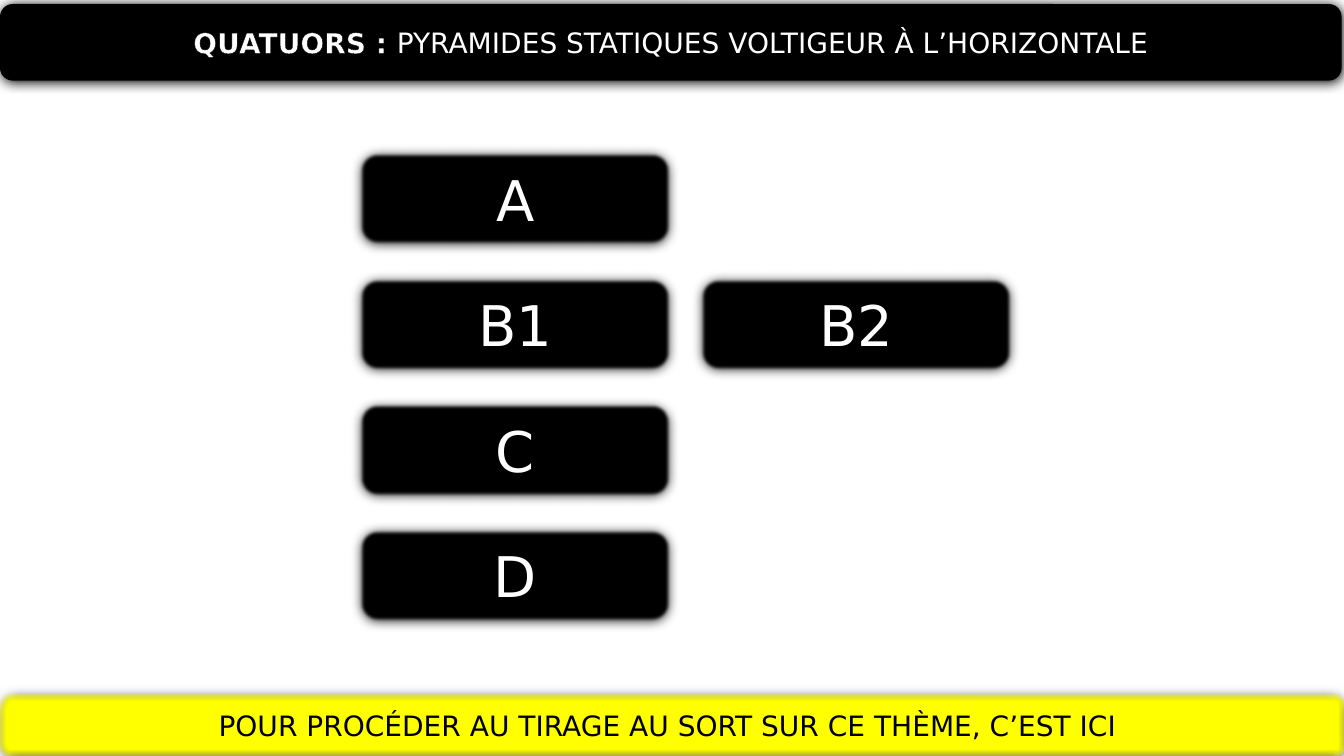
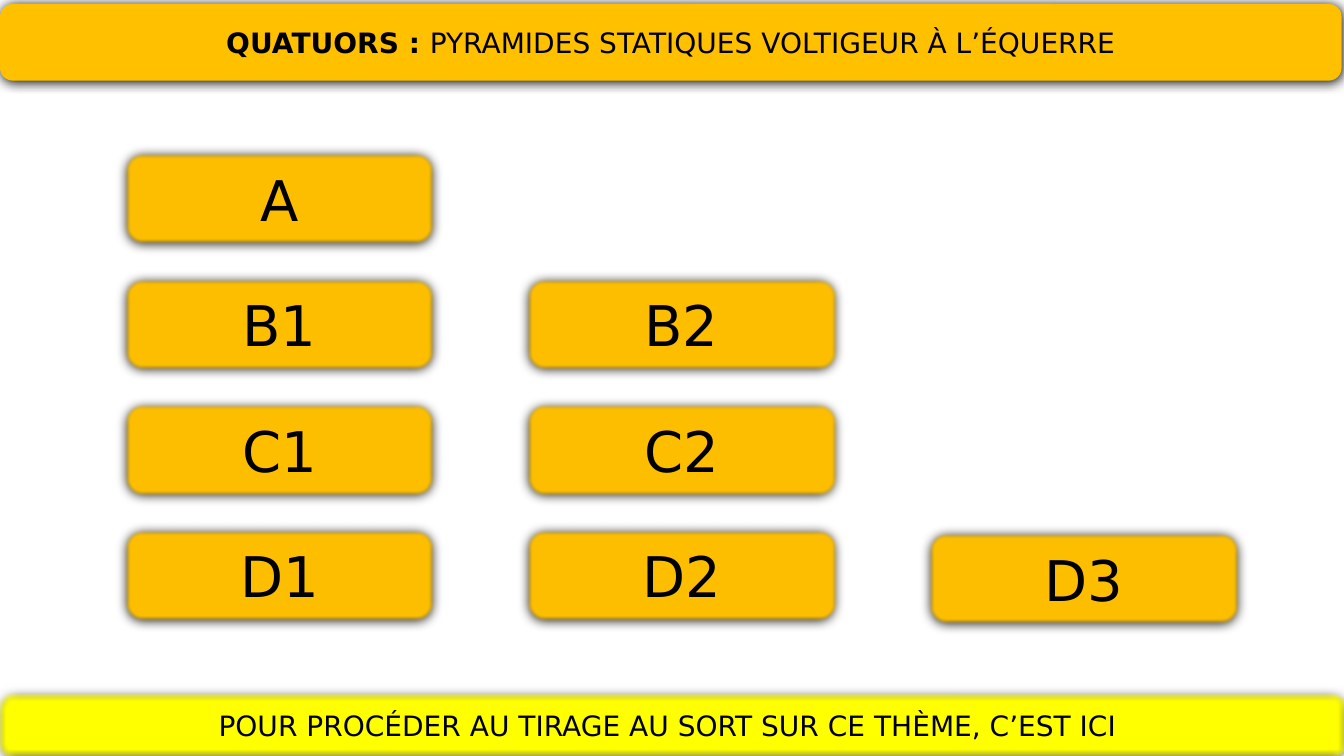
from lxml import etree
from pptx import Presentation
from pptx.dml.color import RGBColor
from pptx.enum.shapes import MSO_SHAPE
from pptx.enum.text import MSO_ANCHOR, PP_ALIGN
from pptx.oxml.ns import qn
from pptx.util import Pt

ROUNDED = MSO_SHAPE.ROUNDED_RECTANGLE
MIDDLE = MSO_ANCHOR.MIDDLE
CENTER = PP_ALIGN.CENTER

COLORS = {
    "black": "000000",
    "white": "FFFFFF",
    "amber": "FFC000",
    "yellow": "FFFF00",
}
FONT = "DejaVu Sans"
SLIDE_SIZE = (960, 540)
HEADER_AREA = (0, 2.9, 958.3, 54.7)
FOOTER_AREA = (0, 496, 960, 44)
HEADER_LABEL = "QUATUORS : "
FOOTER_TEXT = "POUR PROCÉDER AU TIRAGE AU SORT SUR CE THÈME, C’EST ICI "
BUTTON_SIZE = (222, 66)
FIRST_ROW_TOP = 108.9
ROW_PITCH = 89.75

THEMES = [
    {
        "title": "PYRAMIDES STATIQUES VOLTIGEUR À L’HORIZONTALE",
        "fill": "black",
        "ink": "white",
        "left": 257,
        "pitch": 243.5,
        "rows": [["A"], ["B1", "B2"], ["C"], ["D"]],
        "drops": {},
    },
    {
        "title": "PYRAMIDES STATIQUES VOLTIGEUR À L’ÉQUERRE",
        "fill": "amber",
        "ink": "black",
        "left": 88.6,
        "pitch": 287.3,
        "rows": [["A"], ["B1", "B2"], ["C1", "C2"], ["D1", "D2", "D3"]],
        "drops": {"D3": 2.2},
    },
]


def add_color(parent, color):
    solid = etree.SubElement(parent, qn("a:solidFill"))
    etree.SubElement(solid, qn("a:srgbClr"), val=COLORS[color])


def add_effects(shape, soft_edge):
    shape.shadow.inherit = False
    effects = shape._element.spPr.find(qn("a:effectLst"))
    shadow = etree.SubElement(
        effects, qn("a:outerShdw"), blurRad=str(Pt(8.5)), dist=str(Pt(1)),
        dir="5400000", algn="ctr", rotWithShape="0")
    etree.SubElement(shadow, qn("a:srgbClr"), val=COLORS["black"])
    if soft_edge:
        etree.SubElement(effects, qn("a:softEdge"), rad=str(Pt(soft_edge)))


def add_panel(page, area, fill, ink, size, texts, soft_edge=0):
    panel = page.shapes.add_shape(ROUNDED, *(Pt(length) for length in area))
    panel.fill.solid()
    panel.fill.fore_color.rgb = RGBColor.from_string(COLORS[fill])
    panel.line.fill.background()
    add_effects(panel, soft_edge)
    frame = panel.text_frame
    frame.word_wrap = True
    frame.vertical_anchor = MIDDLE
    para = frame.paragraphs[0]
    para.alignment = CENTER
    para.font.name = FONT
    para.font.size = Pt(size)
    para.font.color.rgb = RGBColor.from_string(COLORS[ink])
    for text in texts:
        span = para.add_run()
        span.text = text
    return para


def add_header(page, theme):
    para = add_panel(page, HEADER_AREA, theme["fill"], theme["ink"], 20,
                     [HEADER_LABEL, theme["title"]])
    label = para.runs[0]
    label.font.bold = True
    outline = etree.Element(qn("a:ln"), w=str(Pt(0.75)))
    add_color(outline, "black")
    label.font._element.insert(0, outline)


def add_buttons(page, theme):
    for row, labels in enumerate(theme["rows"]):
        for column, label in enumerate(labels):
            left = theme["left"] + column * theme["pitch"]
            top = FIRST_ROW_TOP + row * ROW_PITCH + theme["drops"].get(label, 0)
            add_panel(page, (left, top, *BUTTON_SIZE), theme["fill"],
                      theme["ink"], 40, [label], soft_edge=2.5)


def add_footer(page):
    add_panel(page, FOOTER_AREA, "yellow", "black", 20, [FOOTER_TEXT], soft_edge=2.5)


def main():
    deck = Presentation()
    deck.slide_width, deck.slide_height = (Pt(length) for length in SLIDE_SIZE)
    for theme in THEMES:
        page = deck.slides.add_slide(deck.slide_layouts[6])
        add_header(page, theme)
        add_buttons(page, theme)
        add_footer(page)
    deck.save("out.pptx")


if __name__ == "__main__":
    main()
